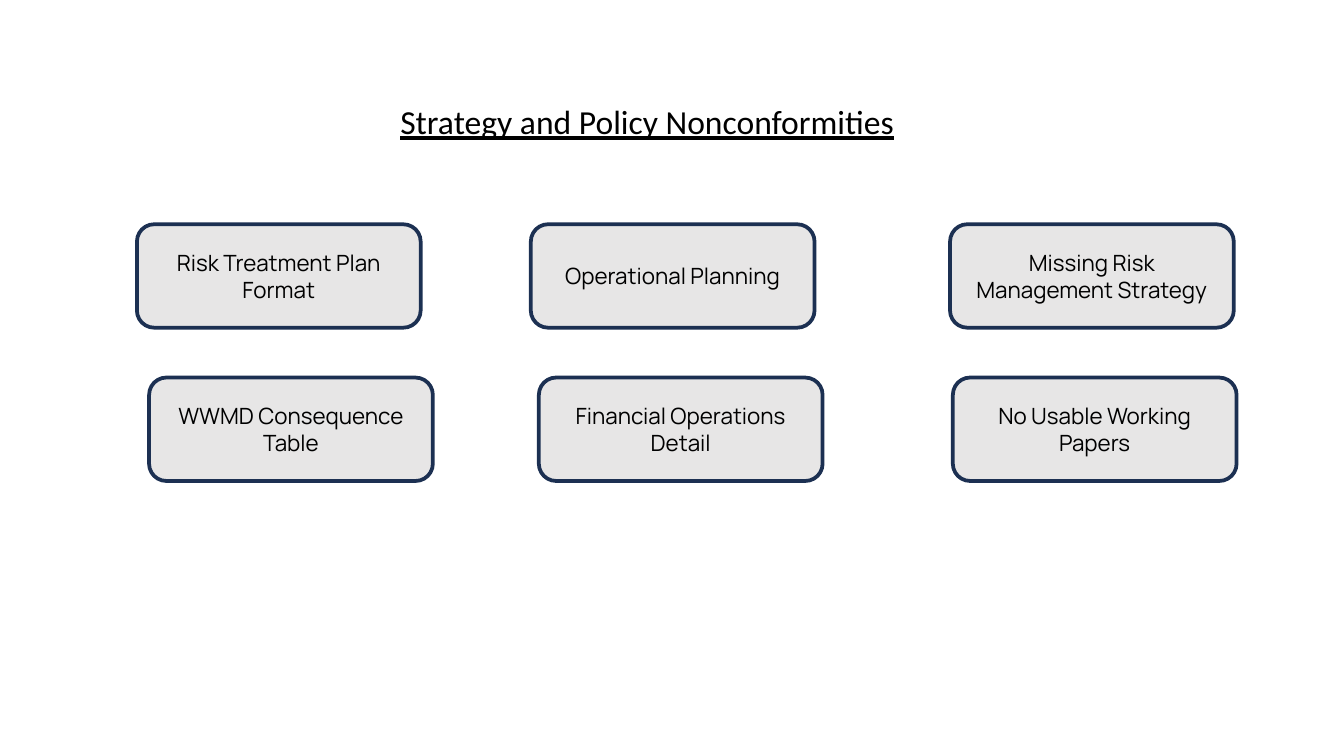
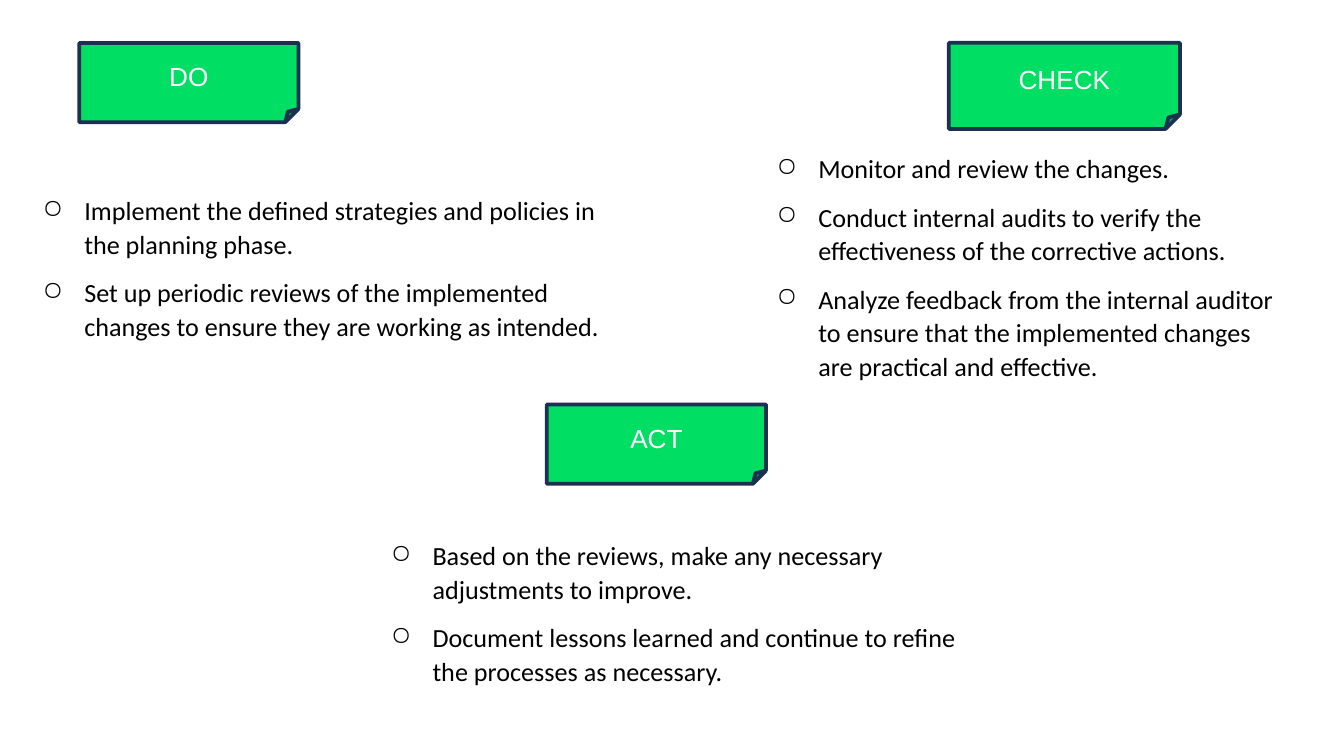
"""Build two slides: a grid of nonconformities and the do, check, act steps."""
from dataclasses import dataclass

from lxml.etree import SubElement
from pptx import Presentation
from pptx.dml.color import RGBColor
from pptx.enum.shapes import MSO_SHAPE
from pptx.enum.text import MSO_ANCHOR, MSO_AUTO_SIZE, PP_ALIGN
from pptx.oxml.ns import qn
from pptx.util import Pt

TITLE = "Strategy and Policy Nonconformities"
TITLE_AT = (207.4, 50.4, 314.6, 29)

ROWS = [
    (120.2, [(73.4, "Risk Treatment Plan Format"),
             (284.4, "Operational Planning"),
             (509, "Missing Risk Management Strategy")]),
    (202.3, [(79.9, "WWMD Consequence Table"),
             (288.7, "Financial Operations Detail"),
             (510.5, "No Usable Working Papers")]),
]
CARD = (152, 55.4)

STEPS = [
    ("DO", (42.5, 23, 117.4, 42.5), (-20.2, 99.4, 360, 87.1),
     ["Implement the defined strategies and policies in the planning phase.",
      "Set up periodic reviews of the implemented changes to ensure they are "
      "working as intended."]),
    ("CHECK", (508.3, 23, 123.8, 46.1), (373, 77, 316.8, 131.8),
     ["Monitor and review the changes.",
      "Conduct internal audits to verify the effectiveness of the corrective "
      "actions.",
      "Analyze feedback from the internal auditor to ensure that the "
      "implemented changes are practical and effective."]),
    ("ACT", (293, 216.7, 117.4, 42.5), (166.3, 284.4, 370, 87.1),
     ["Based on the reviews, make any necessary adjustments to improve.",
      "Document lessons learned and continue to refine the processes as "
      "necessary."]),
]


@dataclass(frozen=True)
class Theme:
    """Hold the colours, fonts and type sizes."""
    ink: str = "000000"
    white: str = "FFFFFF"
    navy: str = "1C3052"
    grey: str = "E7E6E6"
    green: str = "00DE64"
    body: str = "Calibri"
    card: str = "Manrope"
    note: str = "Arial"
    big: int = 18
    mid: int = 14
    small: int = 12
    edge: int = 2
    inset: float = 58.3
    hang: float = 22.3
    lead: float = 1.07
    gap: int = 8


LOOK = Theme()


def add_run(para, text, face, size, color):
    """Add one styled run to a paragraph."""
    run = para.add_run()
    run.text = text
    run.font.name = face
    run.font.size = Pt(size)
    run.font.color.rgb = RGBColor.from_string(color)
    return run


def add_text(slide, spot):
    """Add a wrapping text box and return its frame."""
    frame = slide.shapes.add_textbox(*map(Pt, spot)).text_frame
    frame.word_wrap = True
    frame.auto_size = MSO_AUTO_SIZE.SHAPE_TO_FIT_TEXT
    return frame


def add_label(slide, kind, spot, fill, text, face, size, color):
    """Add an outlined shape with centred text."""
    shape = slide.shapes.add_shape(kind, *map(Pt, spot))
    shape.shadow.inherit = False
    shape.fill.solid()
    shape.fill.fore_color.rgb = RGBColor.from_string(fill)
    shape.line.color.rgb = RGBColor.from_string(LOOK.navy)
    shape.line.width = Pt(LOOK.edge)
    frame = shape.text_frame
    frame.word_wrap = True
    frame.vertical_anchor = MSO_ANCHOR.MIDDLE
    para = frame.paragraphs[0]
    para.alignment = PP_ALIGN.CENTER
    add_run(para, text, face, size, color)


def add_dot(para):
    """Give a paragraph a hanging ring bullet."""
    props = para._p.get_or_add_pPr()
    props.set("marL", str(int(Pt(LOOK.inset))))
    props.set("indent", str(-int(Pt(LOOK.hang))))
    tint = SubElement(props, qn("a:buClr"))
    SubElement(tint, qn("a:srgbClr"), val=LOOK.ink)
    SubElement(props, qn("a:buChar"), char="○")


def add_list(slide, spot, items):
    """Add a text box of bulleted items."""
    frame = add_text(slide, spot)
    for i, item in enumerate(items):
        para = frame.add_paragraph() if i else frame.paragraphs[0]
        para.level = 1
        add_dot(para)
        para.line_spacing = LOOK.lead
        if i:
            para.space_before = Pt(LOOK.gap)
        add_run(para, item, LOOK.body, LOOK.mid, LOOK.ink)


def draw_grid(slide):
    """Draw the title and the two rows of cards."""
    para = add_text(slide, TITLE_AT).paragraphs[0]
    run = add_run(para, TITLE, LOOK.body, LOOK.big, LOOK.ink)
    run.font.underline = True
    for top, cards in ROWS:
        for left, text in cards:
            add_label(slide, MSO_SHAPE.ROUNDED_RECTANGLE, (left, top, *CARD),
                      LOOK.grey, text, LOOK.card, LOOK.small, LOOK.ink)


def draw_steps(slide):
    """Draw each step note with its list."""
    for name, spot, area, items in STEPS:
        add_label(slide, MSO_SHAPE.FOLDED_CORNER, spot, LOOK.green, name,
                  LOOK.note, LOOK.mid, LOOK.white)
        add_list(slide, area, items)


def main():
    """Build and save the deck."""
    deck = Presentation()
    deck.slide_width, deck.slide_height = Pt(720), Pt(405)
    for draw in (draw_grid, draw_steps):
        draw(deck.slides.add_slide(deck.slide_layouts[6]))
    deck.save("out.pptx")


if __name__ == "__main__":
    main()
